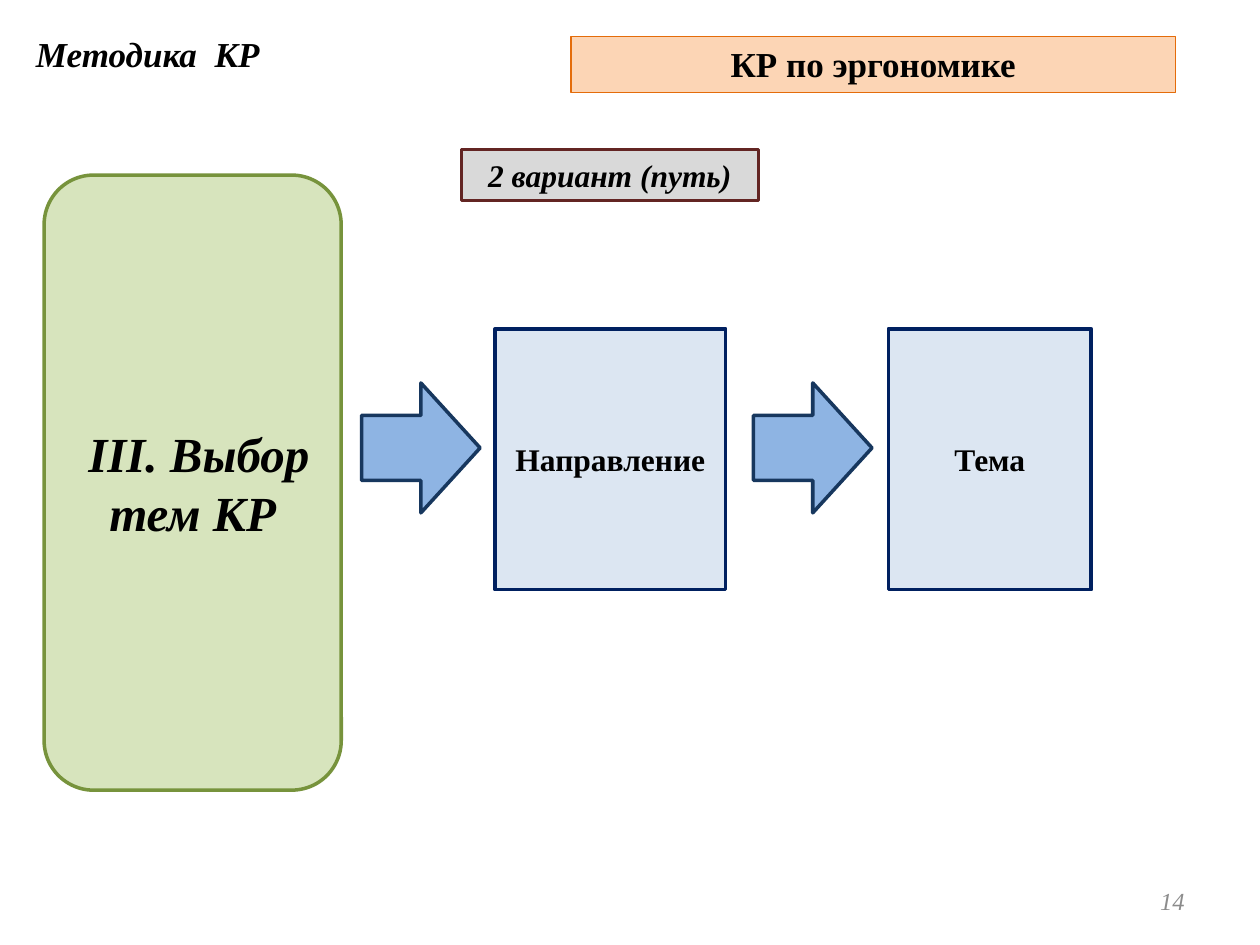
from pptx import Presentation
from pptx.dml.color import RGBColor
from pptx.enum import shapes, text
from pptx.util import Cm, Pt

FONT = "Times New Roman"
COLORS = {
    "black": "000000", "gray": "8C8C8C", "silver": "D9D9D9", "maroon": "632523",
    "light_green": "D7E4BD", "green": "77933C", "peach": "FCD5B5", "orange": "E46C0A",
    "pale_blue": "DCE6F2", "navy": "002060", "blue": "8EB4E3", "dark_blue": "17375E",
}

# Content: wording, (left, top, width, height) in cm, text format
LABELS = [
    (" Методика  КР", (0.3, 0.53, 11, 1.12),
     dict(size=20, italic=True, align="LEFT", anchor="TOP")),
    ("14", (18.21, 17.65, 5.92, 1.02),
     dict(size=14, bold=False, italic=True, color="gray", align="RIGHT")),
]
# Content: wording, frame, preset shape, fill, line, line width, text format
PANELS = [
    (" III. Выбор тем КР", (0.89, 3.53, 5.99, 12.4), "ROUNDED_RECTANGLE",
     "light_green", "green", 2, dict(size=28, italic=True)),
    ("КР по эргономике", (11.51, 0.74, 12.19, 1.12), "RECTANGLE",
     "peach", "orange", 0.75, dict(size=20, anchor="TOP")),
    ("2 вариант (путь)", (9.3, 3.02, 5.99, 1.02), "RECTANGLE",
     "silver", "maroon", 1.5, dict(italic=True, anchor="TOP")),
]
# Each step: wording, left and width of its box, left of the arrow before it
STEPS = [("Направление", 9.98, 4.65, 7.29), ("Тема", 17.91, 4.09, 15.19)]
STEP_TOP, STEP_HEIGHT = 6.63, 5.26
ARROW_TOP, ARROW_WIDTH, ARROW_HEIGHT = 7.72, 2.39, 2.62


def rgb(name):
    return RGBColor.from_string(COLORS[name])


def write(box, wording, size=18, bold=True, italic=False, color="black",
          align="CENTER", anchor="MIDDLE"):
    frame = box.text_frame
    frame.word_wrap = True
    frame.vertical_anchor = text.MSO_ANCHOR[anchor]
    para = frame.paragraphs[0]
    para.alignment = text.PP_ALIGN[align]
    span = para.add_run()
    span.text = wording
    font = span.font
    font.name, font.size = FONT, Pt(size)
    font.bold, font.italic = bold, italic
    font.color.rgb = rgb(color)


def add_panel(page, frame, kind, fill, line, width):
    box = page.shapes.add_shape(shapes.MSO_SHAPE[kind], *map(Cm, frame))
    box.shadow.inherit = False
    box.fill.solid()
    box.fill.fore_color.rgb = rgb(fill)
    box.line.color.rgb = rgb(line)
    box.line.width = Pt(width)
    return box


def main():
    deck = Presentation()
    deck.slide_width, deck.slide_height = Cm(25.4), Cm(19.05)
    page = deck.slides.add_slide(deck.slide_layouts[6])

    # Heading and page number
    for wording, frame, style in LABELS:
        write(page.shapes.add_textbox(*map(Cm, frame)), wording, **style)

    # Stage, topic and variant panels
    for wording, frame, kind, fill, line, width, style in PANELS:
        write(add_panel(page, frame, kind, fill, line, width), wording, **style)

    # Steps, each led by an arrow
    for wording, left, width, arrow_left in STEPS:
        add_panel(page, (arrow_left, ARROW_TOP, ARROW_WIDTH, ARROW_HEIGHT),
                  "RIGHT_ARROW", "blue", "dark_blue", 2)
        box = add_panel(page, (left, STEP_TOP, width, STEP_HEIGHT),
                        "RECTANGLE", "pale_blue", "navy", 2)
        write(box, wording)

    deck.save("out.pptx")


if __name__ == "__main__":
    main()
